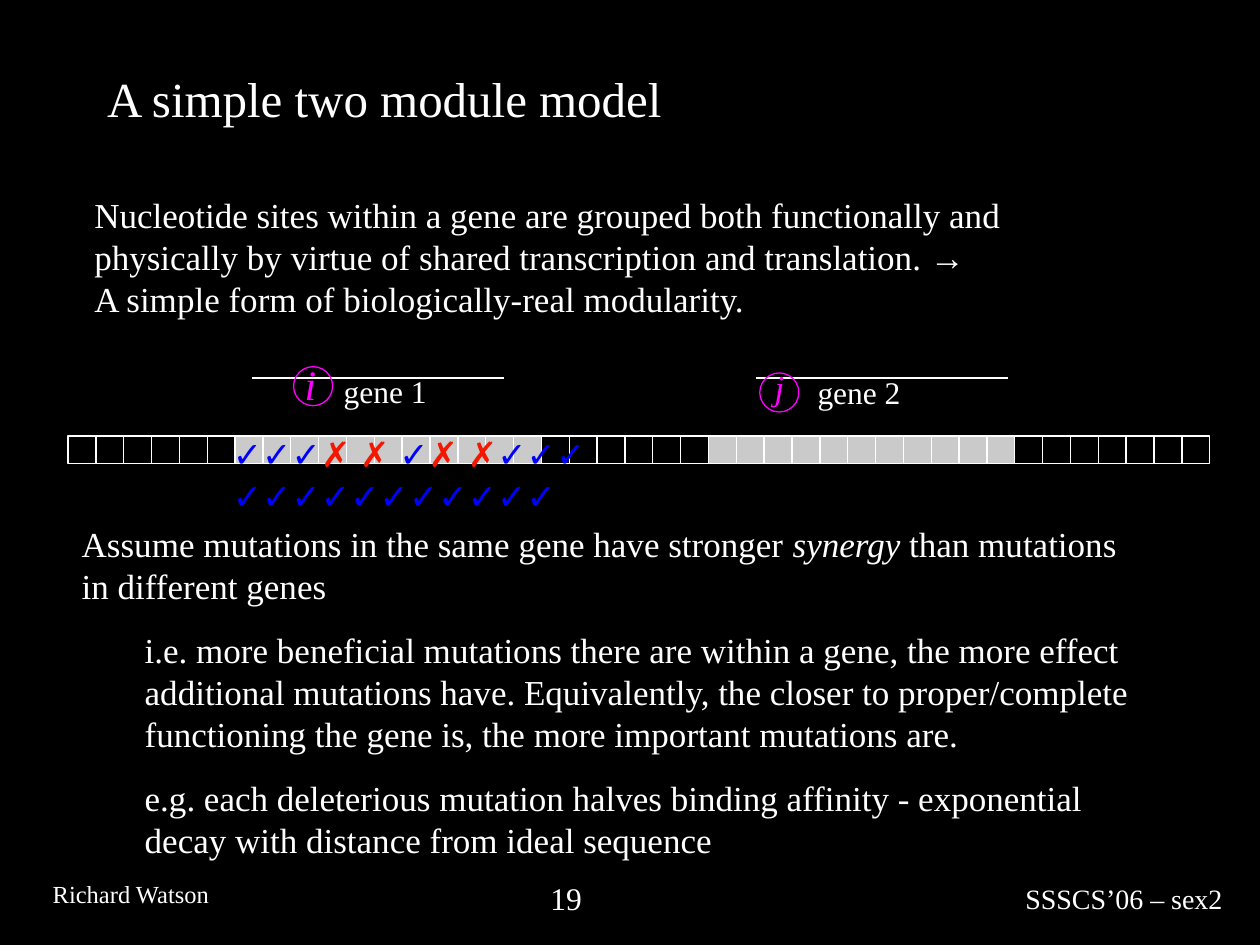
from dataclasses import dataclass
from pptx import Presentation
from pptx.dml.color import RGBColor
from pptx.enum.shapes import MSO_SHAPE
from pptx.enum.text import MSO_ANCHOR, PP_ALIGN
from pptx.util import Inches, Pt

RECTANGLE, OVAL = MSO_SHAPE.RECTANGLE, MSO_SHAPE.OVAL
LEFT, MIDDLE, TOP = PP_ALIGN.LEFT, MSO_ANCHOR.MIDDLE, MSO_ANCHOR.TOP


@dataclass(frozen=True)
class Theme:
    black: str = "000000"
    white: str = "FFFFFF"
    gray: str = "CACACA"
    blue: str = "0000FF"
    red: str = "F41700"
    magenta: str = "FF00FF"
    serif: str = "Times New Roman"
    sans: str = "Arial"
    title: int = 28
    marker: int = 24
    body: int = 20
    label: int = 18
    footer: int = 16
    author: int = 14
    line: float = 0.75


THEME = Theme()
TITLE = "A simple two module model"
INTRO = [
    "Nucleotide sites within a gene are grouped both functionally and physically "
    "by virtue of shared transcription and translation. →",
    "A simple form of biologically-real modularity.",
]
ASSUMPTION = [
    ("Assume mutations in the same gene have stronger ", False),
    ("synergy", True),
    (" than mutations in different genes", False),
]
DETAILS = [
    "i.e. more beneficial mutations there are within a gene, the more effect additional "
    "mutations have. Equivalently, the closer to proper/complete functioning the gene is, "
    "the more important mutations are.",
    "e.g. each deleterious mutation halves binding affinity - exponential decay with "
    "distance from ideal sequence",
]
MUTATIONS = [
    [("✓✓✓", THEME.blue), ("✗ ✗ ", THEME.red), ("✓", THEME.blue),
     ("✗ ✗", THEME.red), ("✓✓✓", THEME.blue)],
    [("✓✓✓✓✓✓✓✓✓✓✓", THEME.blue)],
]
LABELS = [
    ("SSSCS’06 – sex2", THEME.footer, (8.04, 6.95, 2.5, 0.36), True),
    ("Richard Watson", THEME.author, (0.32, 6.93, 1.46, 0.34), False),
    ("19", THEME.label, (4.27, 6.93, 1.24, 0.4), True),
    ("gene 1", THEME.label, (2.63, 2.9, 0.86, 0.4), False),
    ("gene 2", THEME.label, (6.39, 2.91, 0.86, 0.4), False),
]
MARKERS = [
    ("i", THEME.marker, (2.32, 2.8, 0.37, 0.5), (2.33, 2.91)),
    ("j", THEME.body, (6.05, 2.85, 0.37, 0.44), (6.03, 2.96)),
]
MARKER_SIZE = 0.31
SITES, SITE_LEFT, SITE_TOP, SITE_SIZE = 41, 0.54, 3.46, 0.221
GENE_STARTS, GENE_LENGTH = (6, 23), 11
BRACE_LEFTS, BRACE_WIDTH = (1.88, 5.65), 2.39
BRACE_CURVE = [(0, 3.4), (0.09, 3.18), (1.06, 3.52), (1.18, 3.3)]
CURVE_STEPS = 24


def color(value):
    return RGBColor.from_string(value)


def style(font, size, value=THEME.white, name=THEME.serif, italic=False):
    font.name, font.size, font.italic = name, Pt(size), italic
    font.color.rgb = color(value)


def add_box(page, place, wrap=True):
    frame = page.shapes.add_textbox(*map(Inches, place)).text_frame
    frame.word_wrap = wrap
    frame.vertical_anchor = TOP
    return frame


def next_paragraph(frame, index):
    return frame.add_paragraph() if index else frame.paragraphs[0]


def add_line_text(page, text, size, place, wrap=True, **look):
    para = add_box(page, place, wrap).paragraphs[0]
    para.text = text
    style(para.font, size, **look)


def outline(shape, line, fill=None):
    shape.shadow.inherit = False
    shape.line.color.rgb = color(line)
    shape.line.width = Pt(THEME.line)
    if fill:
        shape.fill.solid()
        shape.fill.fore_color.rgb = color(fill)
    else:
        shape.fill.background()


def curve_point(step):
    t = step / CURVE_STEPS
    weights = ((1 - t) ** 3, 3 * t * (1 - t) ** 2, 3 * t * t * (1 - t), t ** 3)
    return tuple(sum(w * point[axis] for w, point in zip(weights, BRACE_CURVE))
                 for axis in (0, 1))


def add_brace(page, left):
    curve = [curve_point(step) for step in range(CURVE_STEPS + 1)]
    for origin, direction in ((left, 1), (left + BRACE_WIDTH, -1)):
        points = [(origin + direction * x, y) for x, y in curve]
        builder = page.shapes.build_freeform(*points[0], scale=Inches(1))
        builder.add_line_segments(points[1:], close=False)
        outline(builder.convert_to_shape(), THEME.white)


def add_sites(page):
    for index in range(SITES):
        in_gene = any(start <= index < start + GENE_LENGTH for start in GENE_STARTS)
        place = (SITE_LEFT + index * SITE_SIZE, SITE_TOP, SITE_SIZE, SITE_SIZE)
        site = page.shapes.add_shape(RECTANGLE, *map(Inches, place))
        outline(site, THEME.white, THEME.gray if in_gene else None)


def add_title(page):
    title = page.shapes.title
    title.left, title.top, title.width, title.height = map(Inches, (0.75, 0.41, 8.5, 0.73))
    title.text_frame.vertical_anchor = MIDDLE
    para = title.text_frame.paragraphs[0]
    para.text, para.alignment = TITLE, LEFT
    style(para.font, THEME.title)


def add_mutations(page):
    frame = add_box(page, (1.75, 3.38, 6.76, 0.44))
    for index, row in enumerate(MUTATIONS):
        para = next_paragraph(frame, index)
        for text, value in row:
            span = para.add_run()
            span.text = text
            style(span.font, THEME.body, value, THEME.sans)


def add_body(page):
    intro = add_box(page, (0.65, 1.49, 8.34, 1.1))
    for index, text in enumerate(INTRO):
        para = next_paragraph(intro, index)
        para.text = text
        style(para.font, THEME.body)

    frame = add_box(page, (0.55, 4.1, 8.69, 2.78))
    for text, italic in ASSUMPTION:
        span = frame.paragraphs[0].add_run()
        span.text = text
        style(span.font, THEME.body, italic=italic)
    for text in DETAILS:
        para = frame.add_paragraph()
        para.text, para.level, para.space_before = text, 1, Pt(12.5)
        properties = para._p.get_or_add_pPr()
        properties.set("marL", str(Inches(0.5)))
        properties.set("indent", "0")
        style(para.font, THEME.body)


def main():
    deck = Presentation()
    deck.slide_width, deck.slide_height = Inches(10), Inches(7.5)
    page = deck.slides.add_slide(deck.slide_layouts[5])
    page.background.fill.solid()
    page.background.fill.fore_color.rgb = color(THEME.black)
    add_title(page)
    for left in BRACE_LEFTS:
        add_brace(page, left)
    for text, size, place, wrap in LABELS:
        add_line_text(page, text, size, place, wrap)
    add_sites(page)
    add_mutations(page)
    for text, size, place, corner in MARKERS:
        add_line_text(page, text, size, place, value=THEME.magenta, italic=True)
        ring = page.shapes.add_shape(OVAL, *map(Inches, (*corner, MARKER_SIZE, MARKER_SIZE)))
        outline(ring, THEME.magenta)
    add_body(page)
    deck.save("out.pptx")


if __name__ == "__main__":
    main()
